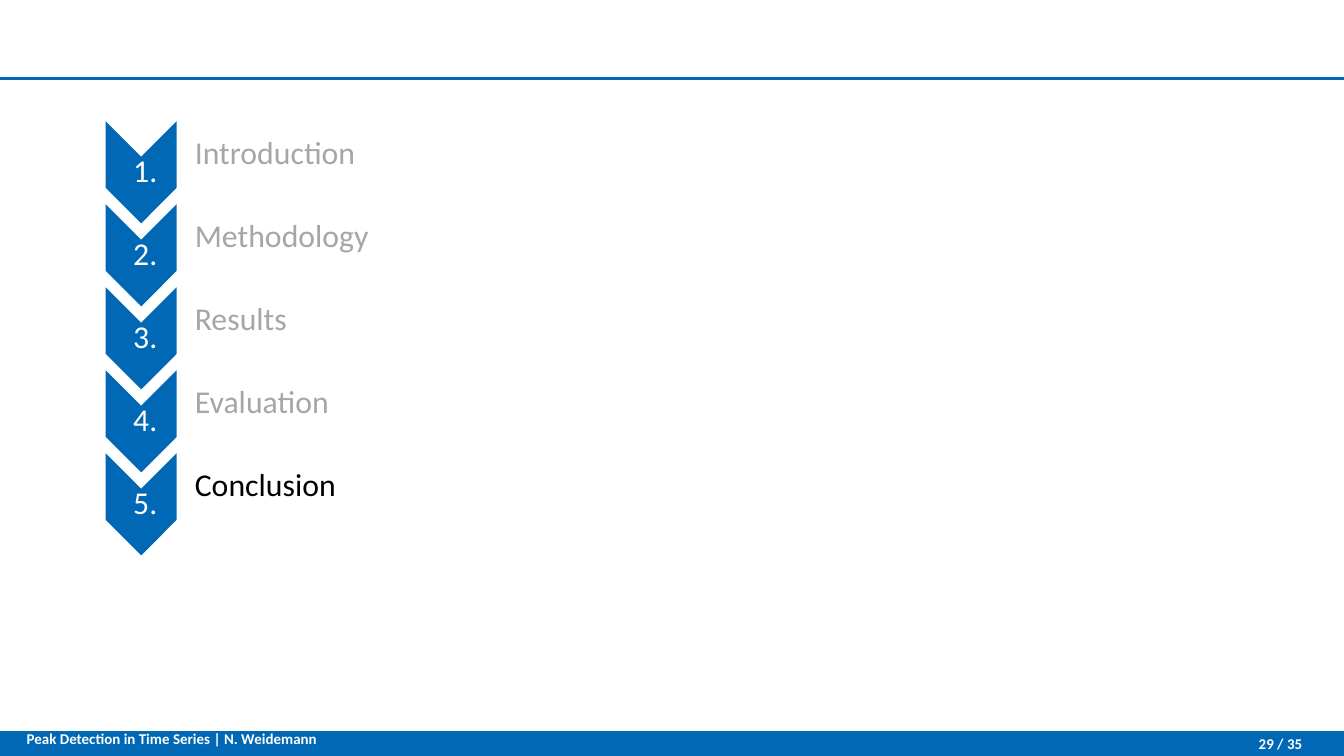
"""Build an agenda slide with numbered chevrons and a footer band."""
from dataclasses import dataclass, replace

from lxml import etree
from pptx import Presentation
from pptx import util as u
from pptx.dml.color import RGBColor
from pptx.enum import shapes, text
from pptx.oxml.ns import qn
from pptx.shapes.autoshape import Shape
from pptx.slide import Slide

BLUE = RGBColor(0x00, 0x68, 0xB4)
WHITE = RGBColor(0xFF, 0xFF, 0xFF)
GREY = RGBColor(0xA6, 0xA6, 0xA6)
BLACK = RGBColor(0x00, 0x00, 0x00)

FONT = "Calibri"
WIDTH = u.Inches(10)
HEIGHT = u.Emu(WIDTH * 9 // 16)
ROW_STEP = 10.98
SECTIONS = ("Introduction", "Methodology", "Results", "Evaluation", "Conclusion")
CURRENT = "Conclusion"


@dataclass(frozen=True)
class Area:
    """A rectangle in percent of the slide's width and height."""

    left: float
    top: float
    width: float
    height: float

    def in_row(self, row: int) -> "Area":
        """Return this area moved down to the given agenda row."""
        return replace(self, top=self.top + row * ROW_STEP)

    def frame(self) -> tuple[int, int, int, int]:
        """Return left, top, width and height as slide lengths."""
        return (
            round(WIDTH * self.left / 100),
            round(HEIGHT * self.top / 100),
            round(WIDTH * self.width / 100),
            round(HEIGHT * self.height / 100),
        )


@dataclass(frozen=True)
class TextStyle:
    """Type, alignment and insets (left, top, right, bottom, in inches)."""

    size: float
    color: RGBColor
    insets: tuple[float, float, float, float]
    align: text.PP_ALIGN = text.PP_ALIGN.LEFT
    anchor: text.MSO_ANCHOR = text.MSO_ANCHOR.MIDDLE
    bold: bool = False
    line_spacing: float = 1.0


CHEVRON = Area(6.7, 18.1, 7.6, 9.4)
NUMBER = Area(7.9, 20.8, 5.3, 4.1)
LABEL = Area(13.2, 16.55, 78.7, 7.8)
BAND = Area(0, 96.7, 100, 3.3)
FOOTER = Area(1, 95.35, 43.4, 6.05)
PAGE = Area(87.5, 96.7, 9.4, 3.4)
RULE_TOP = 10.4

NUMBER_STYLE = TextStyle(
    17, WHITE, (0.01, 0.01, 0.01, 0.01), text.PP_ALIGN.CENTER, line_spacing=0.9
)
LABEL_STYLE = TextStyle(17, GREY, (0.13, 0.01, 0.01, 0.01), line_spacing=0.9)
FOOTER_STYLE = TextStyle(
    8, WHITE, (0.1, 0.1, 0.1, 0.1), anchor=text.MSO_ANCHOR.TOP, bold=True
)
PAGE_STYLE = TextStyle(8, WHITE, (0.1, 0.05, 0, 0.05), text.PP_ALIGN.RIGHT, bold=True)


def add_block(slide: Slide, kind: shapes.MSO_SHAPE, area: Area) -> Shape:
    """Draw a plain blue shape."""
    shape = slide.shapes.add_shape(kind, *area.frame())
    shape.shadow.inherit = False
    shape.fill.solid()
    shape.fill.fore_color.rgb = BLUE
    shape.line.fill.background()
    return shape


def add_text(slide: Slide, words: str, area: Area, style: TextStyle) -> None:
    """Draw one line of text in a box."""
    text_frame = slide.shapes.add_textbox(*area.frame()).text_frame
    text_frame.word_wrap = True
    text_frame.vertical_anchor = style.anchor
    left, top, right, bottom = map(u.Inches, style.insets)
    text_frame.margin_left, text_frame.margin_top = left, top
    text_frame.margin_right, text_frame.margin_bottom = right, bottom
    text_frame.text = words
    paragraph = text_frame.paragraphs[0]
    paragraph.alignment = style.align
    paragraph.line_spacing = style.line_spacing
    font = paragraph.runs[0].font
    font.name = FONT
    font.size = u.Pt(style.size)
    font.bold = style.bold
    font.color.rgb = style.color


def add_section(slide: Slide, row: int, name: str) -> None:
    """Draw one agenda row with its chevron, number and name."""
    chevron = add_block(slide, shapes.MSO_SHAPE.CHEVRON, CHEVRON.in_row(row))
    chevron.rotation = 90
    add_text(slide, f" {row + 1}.", NUMBER.in_row(row), NUMBER_STYLE)
    color = BLACK if name == CURRENT else GREY
    add_text(slide, name, LABEL.in_row(row), replace(LABEL_STYLE, color=color))


def add_rule(slide: Slide) -> None:
    """Draw the line below the title area."""
    top = round(HEIGHT * RULE_TOP / 100)
    rule = slide.shapes.add_connector(shapes.MSO_CONNECTOR.STRAIGHT, WIDTH, top, 0, top)
    rule.line.color.rgb = BLUE
    rule.line.width = u.Pt(1.5)
    etree.SubElement(rule.element.spPr, qn("a:effectLst"))


def main() -> None:
    """Build and save the slide."""
    presentation = Presentation()
    presentation.slide_width = WIDTH
    presentation.slide_height = HEIGHT
    slide = presentation.slides.add_slide(presentation.slide_layouts[6])
    add_block(slide, shapes.MSO_SHAPE.RECTANGLE, BAND)
    for row, name in enumerate(SECTIONS):
        add_section(slide, row, name)
    add_rule(slide)
    add_text(slide, "Peak Detection in Time Series | N. Weidemann", FOOTER, FOOTER_STYLE)
    add_text(slide, "29 / 35", PAGE, PAGE_STYLE)
    presentation.save("out.pptx")


if __name__ == "__main__":
    main()
